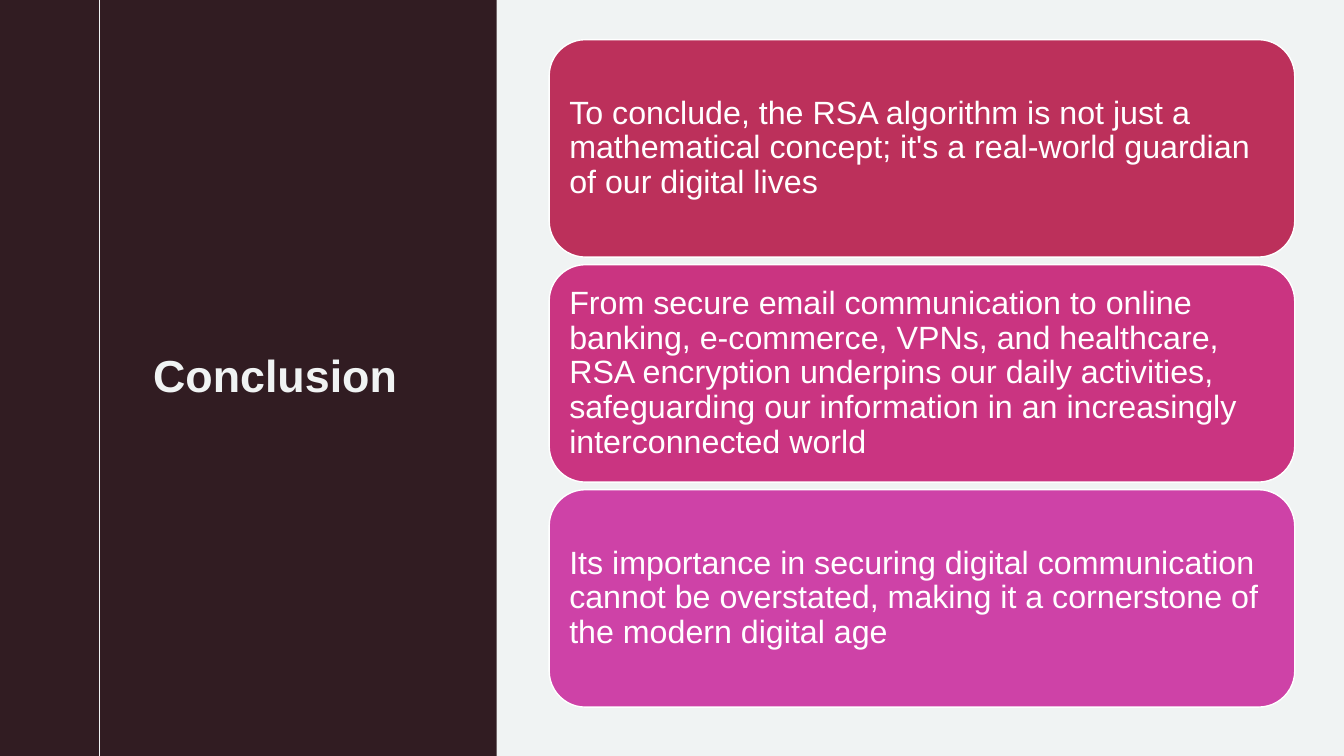
from dataclasses import dataclass

from lxml.etree import SubElement
from pptx import Presentation
from pptx.dml.color import RGBColor
from pptx.enum.shapes import MSO_CONNECTOR, MSO_SHAPE
from pptx.enum.text import MSO_ANCHOR, PP_ALIGN
from pptx.oxml.ns import qn
from pptx.slide import Slide
from pptx.text.text import TextFrame
from pptx.util import Cm, Pt

PALE = RGBColor(0xF0, 0xF3, 0xF3)
DARK = RGBColor(0x31, 0x1C, 0x22)
WHITE = RGBColor(0xFF, 0xFF, 0xFF)
CRIMSON = RGBColor(0xBC, 0x30, 0x5B)
PINK = RGBColor(0xCA, 0x34, 0x81)
MAGENTA = RGBColor(0xCE, 0x42, 0xA7)

FONT = "Arial"
SLIDE_WIDTH, SLIDE_HEIGHT = Cm(33.87), Cm(19.05)
PANEL_WIDTH = Cm(12.52)
RULE_LEFT = Cm(2.5)
CARD_LEFT, CARD_TOP = Cm(13.84), Cm(1)
CARD_WIDTH, CARD_HEIGHT = Cm(18.79), Cm(5.48)
CARD_PITCH = Cm(5.67)


@dataclass(frozen=True)
class Card:
    text: str
    fill: RGBColor


CARDS = (
    Card("To conclude, the RSA algorithm is not just a mathematical concept; "
         "it's a real-world guardian of our digital lives", CRIMSON),
    Card("From secure email communication to online banking, e-commerce, VPNs, "
         "and healthcare, RSA encryption underpins our daily activities, "
         "safeguarding our information in an increasingly interconnected world", PINK),
    Card("Its importance in securing digital communication cannot be overstated, "
         "making it a cornerstone of the modern digital age", MAGENTA),
)


def write_text(frame: TextFrame, text: str, size: float, color: RGBColor,
               inset: float, bold: bool = False) -> None:
    frame.word_wrap = True
    frame.margin_left = frame.margin_right = Cm(inset)
    frame.margin_top = frame.margin_bottom = Cm(inset)
    frame.text = text
    paragraph = frame.paragraphs[0]
    paragraph.alignment = PP_ALIGN.LEFT
    font = paragraph.runs[0].font
    font.name, font.size, font.bold = FONT, Pt(size), bold
    font.color.rgb = color


def add_panel(slide: Slide) -> None:
    """Draw the dark left panel with its thin vertical rule."""
    panel = slide.shapes.add_shape(MSO_SHAPE.RECTANGLE, 0, 0, PANEL_WIDTH, SLIDE_HEIGHT)
    panel.shadow.inherit = False
    panel.fill.solid()
    panel.fill.fore_color.rgb = DARK
    panel.line.fill.background()

    rule = slide.shapes.add_connector(
        MSO_CONNECTOR.STRAIGHT, RULE_LEFT, 0, RULE_LEFT, SLIDE_HEIGHT)
    rule.line.color.rgb = PALE
    rule.line.width = Pt(0.75)
    SubElement(rule._element.spPr, qn("a:effectLst"))


def add_title(slide: Slide) -> None:
    title = slide.shapes.add_textbox(Cm(3.86), Cm(8.76), Cm(7.57), Cm(1.5))
    write_text(title.text_frame, "Conclusion", 32, PALE, inset=0, bold=True)


def add_card(slide: Slide, card: Card, index: int) -> None:
    shape = slide.shapes.add_shape(
        MSO_SHAPE.ROUNDED_RECTANGLE, CARD_LEFT, CARD_TOP + index * CARD_PITCH,
        CARD_WIDTH, CARD_HEIGHT)
    shape.shadow.inherit = False
    shape.fill.solid()
    shape.fill.fore_color.rgb = card.fill
    shape.line.color.rgb = WHITE
    shape.line.width = Pt(1)
    frame = shape.text_frame
    write_text(frame, card.text, 23, WHITE, inset=0.24)
    frame.vertical_anchor = MSO_ANCHOR.MIDDLE
    frame.paragraphs[0].line_spacing = 0.9


def main() -> None:
    presentation = Presentation()
    presentation.slide_width, presentation.slide_height = SLIDE_WIDTH, SLIDE_HEIGHT
    slide = presentation.slides.add_slide(presentation.slide_layouts[6])
    slide.background.fill.solid()
    slide.background.fill.fore_color.rgb = PALE
    add_panel(slide)
    add_title(slide)
    for index, card in enumerate(CARDS):
        add_card(slide, card, index)
    presentation.save("out.pptx")


if __name__ == "__main__":
    main()
